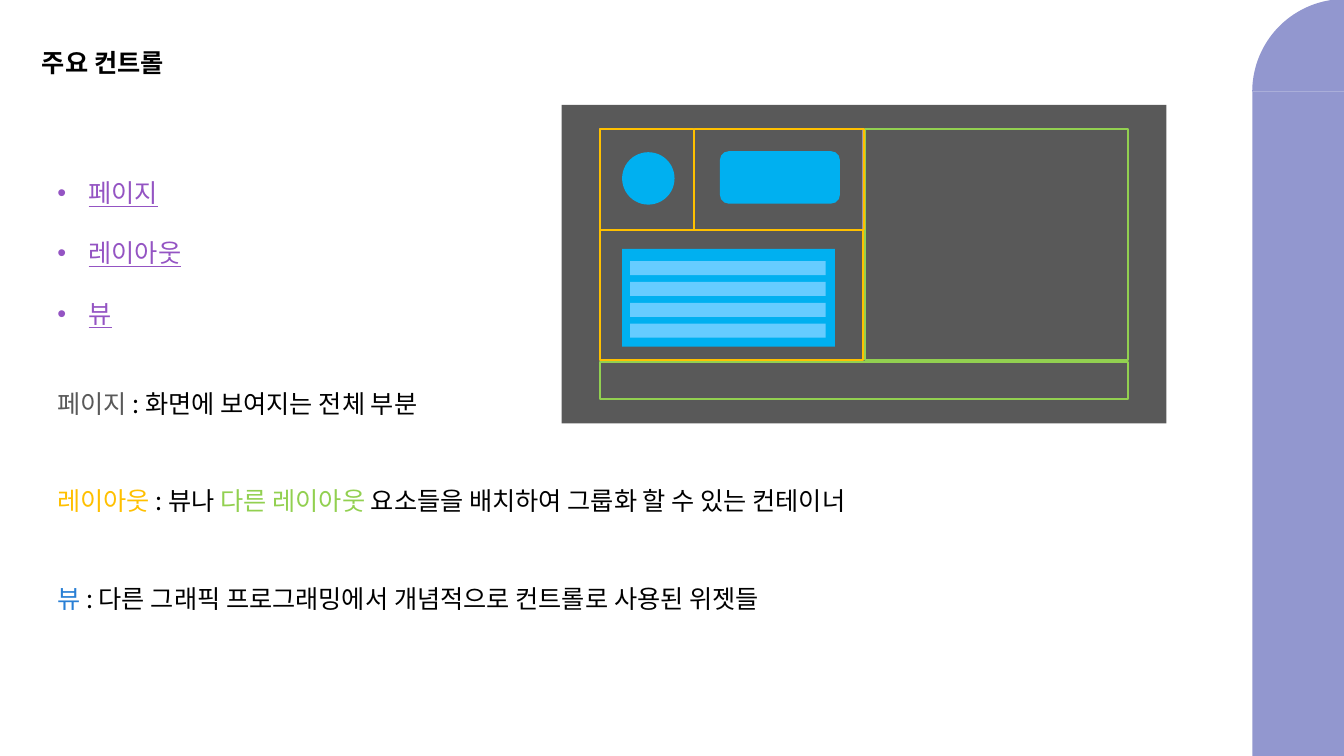
from dataclasses import dataclass

from lxml.etree import SubElement
from pptx import Presentation
from pptx.dml.color import RGBColor as RGB
from pptx.enum.shapes import MSO_SHAPE as Shape
from pptx.enum.text import MSO_ANCHOR as Anchor, MSO_AUTO_SIZE as Fit, PP_ALIGN as Align
from pptx.oxml.ns import qn
from pptx.util import Inches, Pt


@dataclass(frozen=True)
class Theme:
    """Colours, font and sizes of the slide."""
    font: str = "Noto Sans CJK KR"
    text_size: int = 18
    outline: int = 1
    ink: str = "000000"
    accent: str = "9297CF"
    link: str = "9454C3"
    page: str = "595959"
    frame: str = "9D90A0"
    layout: str = "FFC000"
    nested: str = "92D050"
    view_name: str = "297FD5"
    view: str = "00B0F0"
    row: str = "66CCFF"


THEME = Theme()


def apply(target, formats):
    """Set each named format value on the target."""
    for name, value in formats.items():
        setattr(target, name, value)


def add_block(shapes, kind, box, fill=None, line=None, adjustments=()):
    """Add a preset shape with a plain fill or outline."""
    block = shapes.add_shape(kind, *map(Inches, box))
    block.shadow.inherit = False
    for index, value in enumerate(adjustments):
        block.adjustments[index] = value
    if fill:
        block.fill.solid()
        block.fill.fore_color.rgb = RGB.from_string(fill)
    else:
        block.fill.background()
    if line:
        block.line.color.rgb = RGB.from_string(line)
        block.line.width = Pt(THEME.outline)
    else:
        block.line.fill.background()
    return block


def add_text(slide, box, paragraphs, frame_format, paragraph_format=None, font_format=None):
    """Add a text box whose paragraphs are lists of words and colours."""
    frame = slide.shapes.add_textbox(*map(Inches, box)).text_frame
    apply(frame, {"word_wrap": True, **frame_format})
    for index, parts in enumerate(paragraphs):
        paragraph = frame.add_paragraph() if index else frame.paragraphs[0]
        apply(paragraph, paragraph_format or {})
        for words, colour in parts:
            run = paragraph.add_run()
            run.text = words
            apply(run.font, {"name": THEME.font, "size": Pt(THEME.text_size), **(font_format or {})})
            run.font.color.rgb = RGB.from_string(colour)
            SubElement(run.font._element, qn("a:ea")).set("typeface", THEME.font)
    return frame


def add_bullets(frame, indent):
    """Give every paragraph a hanging round bullet."""
    for paragraph in frame.paragraphs:
        properties = paragraph._p.get_or_add_pPr()
        properties.set("marL", str(Inches(indent)))
        properties.set("indent", str(-Inches(indent)))
        SubElement(properties, qn("a:buFont")).set("typeface", "Arial")
        SubElement(properties, qn("a:buChar")).set("char", "•")


def add_side_band(slide):
    """Draw the rounded band on the right edge."""
    add_block(slide.shapes, Shape.PIE, (12.42, -0.01, 1.84, 1.84), THEME.accent, adjustments=(108, 162))
    add_block(slide.shapes, Shape.RECTANGLE, (12.42, 0.91, 0.92, 6.59), THEME.accent)


def add_screen_diagram(slide):
    """Draw the page with its layouts and views."""
    left, top, half_width, height = 5.95, 1.28, 2.61, 2.29
    shapes = slide.shapes.add_group_shape().shapes
    add_block(shapes, Shape.RECTANGLE, (5.57, 1.04, 6, 3.16), THEME.page)
    add_block(shapes, Shape.RECTANGLE, (left, top, half_width, height), line=THEME.frame)
    add_block(shapes, Shape.RECTANGLE, (8.58, top, half_width, height), line=THEME.nested)

    views = [
        (Shape.OVAL, (6.17, 1.51, 0.52, 0.52)),
        (Shape.ROUNDED_RECTANGLE, (7.14, 1.5, 1.19, 0.52)),
        (Shape.RECTANGLE, (6.17, 2.47, 2.11, 0.97)),
    ]
    for kind, box in views:
        add_block(shapes, kind, box, THEME.view)
    for row in range(4):
        add_block(shapes, Shape.RECTANGLE, (6.25, 2.59 + row * 0.207, 1.94, 0.14), THEME.row)

    add_block(shapes, Shape.RECTANGLE, (left, 3.59, 5.24, 0.37), line=THEME.nested)
    layouts = [
        (left, top, 0.93, 1),
        (6.89, top, 1.68, 1),
        (left, top + 1, half_width, height - 1),
    ]
    for box in layouts:
        add_block(shapes, Shape.RECTANGLE, box, line=THEME.layout)


def main():
    """Build and save the slide."""
    deck = Presentation()
    apply(deck, {"slide_width": Inches(13.33), "slide_height": Inches(7.5)})
    slide = deck.slides.add_slide(deck.slide_layouts[6])
    add_side_band(slide)

    add_text(slide, (0.23, 0.32, 1.58, 0.63), [[("주요 컨트롤", THEME.ink)]],
             {"vertical_anchor": Anchor.MIDDLE},
             {"alignment": Align.CENTER, "line_spacing": 0.9}, {"bold": True})

    growing = {"auto_size": Fit.SHAPE_TO_FIT_TEXT}
    controls = [[(name, THEME.link)] for name in ("페이지", "레이아웃", "뷰")]
    control_list = add_text(slide, (0.47, 1.41, 3.38, 1.82), controls, growing,
                            {"line_spacing": 2.0}, {"underline": True})
    add_bullets(control_list, 0.31)

    definitions = [
        (4.38, [("페이지 ", THEME.page), (": 화면에 보여지는 전체 부분", THEME.ink)]),
        (9.08, [("레이아웃 ", THEME.layout), (": 뷰나 ", THEME.ink),
                ("다른 레이아웃 ", THEME.nested),
                ("요소들을 배치하여 그룹화 할 수 있는 컨테이너", THEME.ink)]),
        (8.09, [("뷰 ", THEME.view_name),
                (": 다른 그래픽 프로그래밍에서 개념적으로 컨트롤로 사용된 위젯들", THEME.ink)]),
    ]
    for index, (width, parts) in enumerate(definitions):
        add_text(slide, (0.47, 3.8 + index * 0.97, width, 0.4), [parts], growing)

    add_screen_diagram(slide)
    deck.save("out.pptx")


main()
